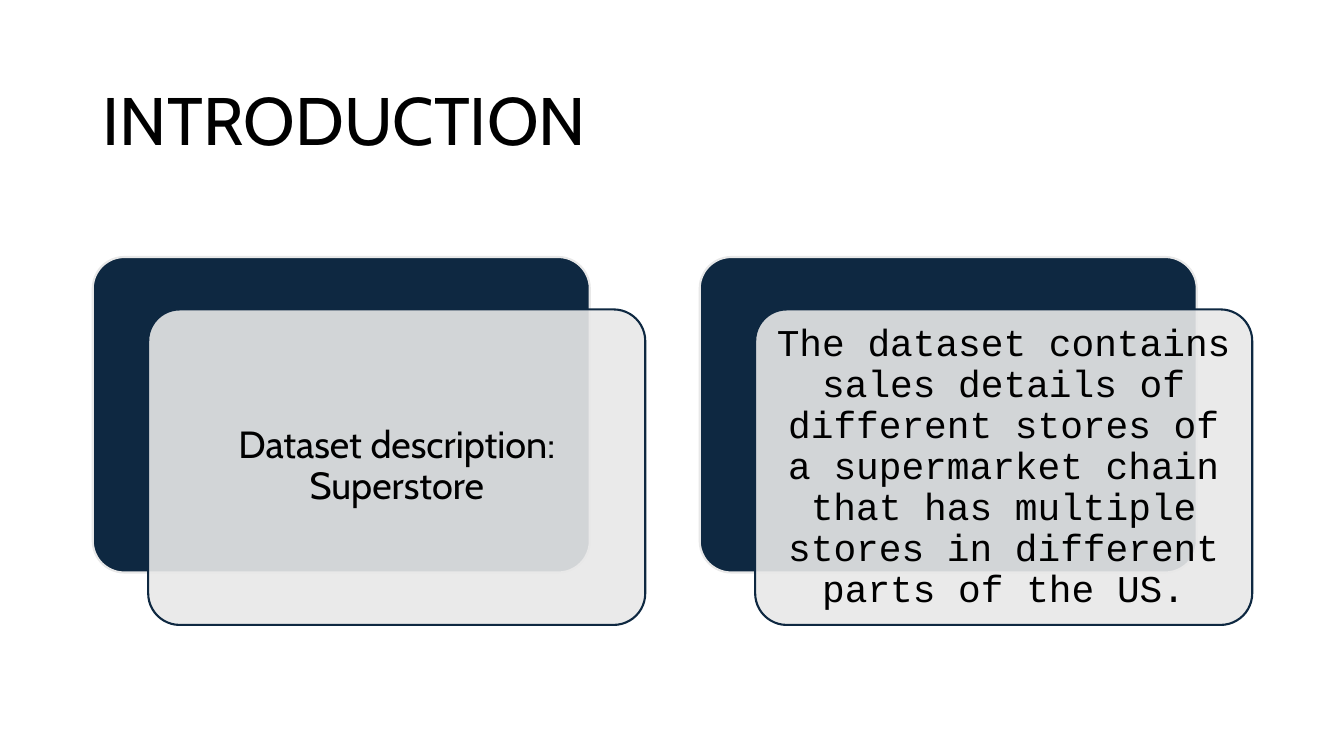
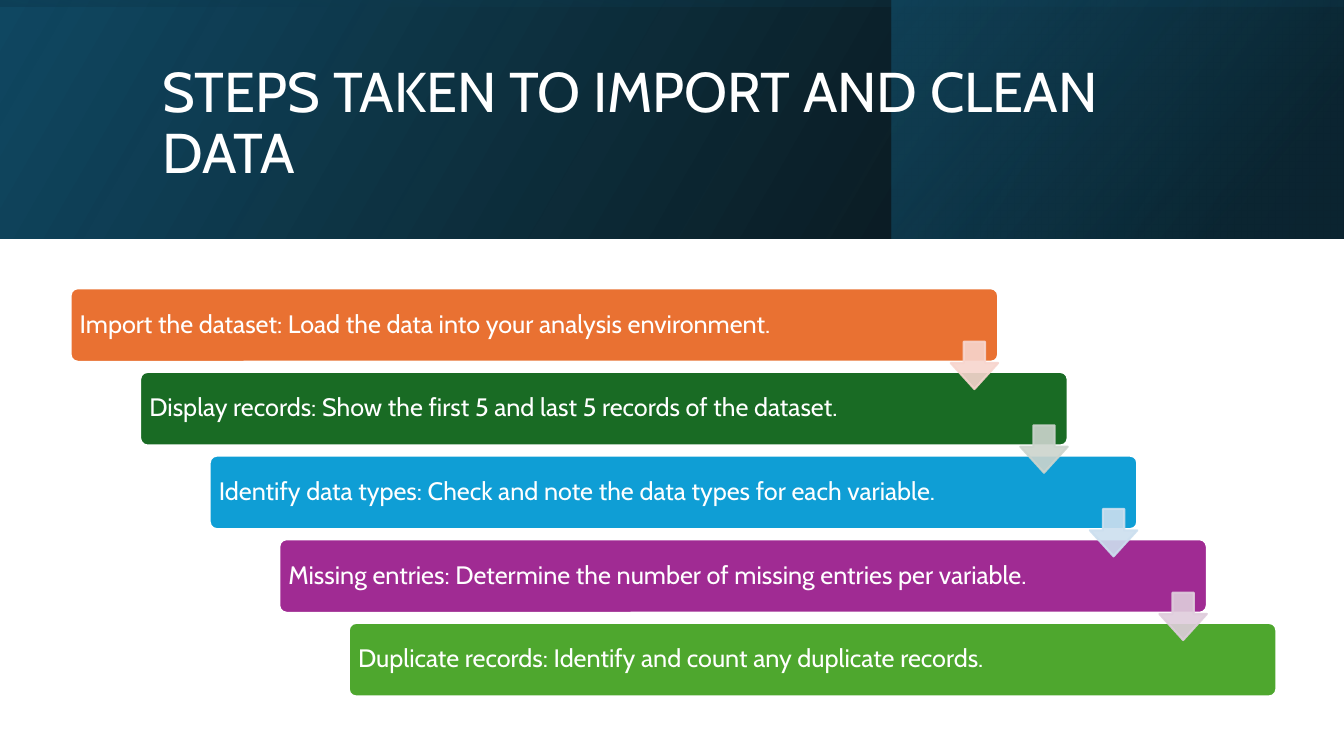
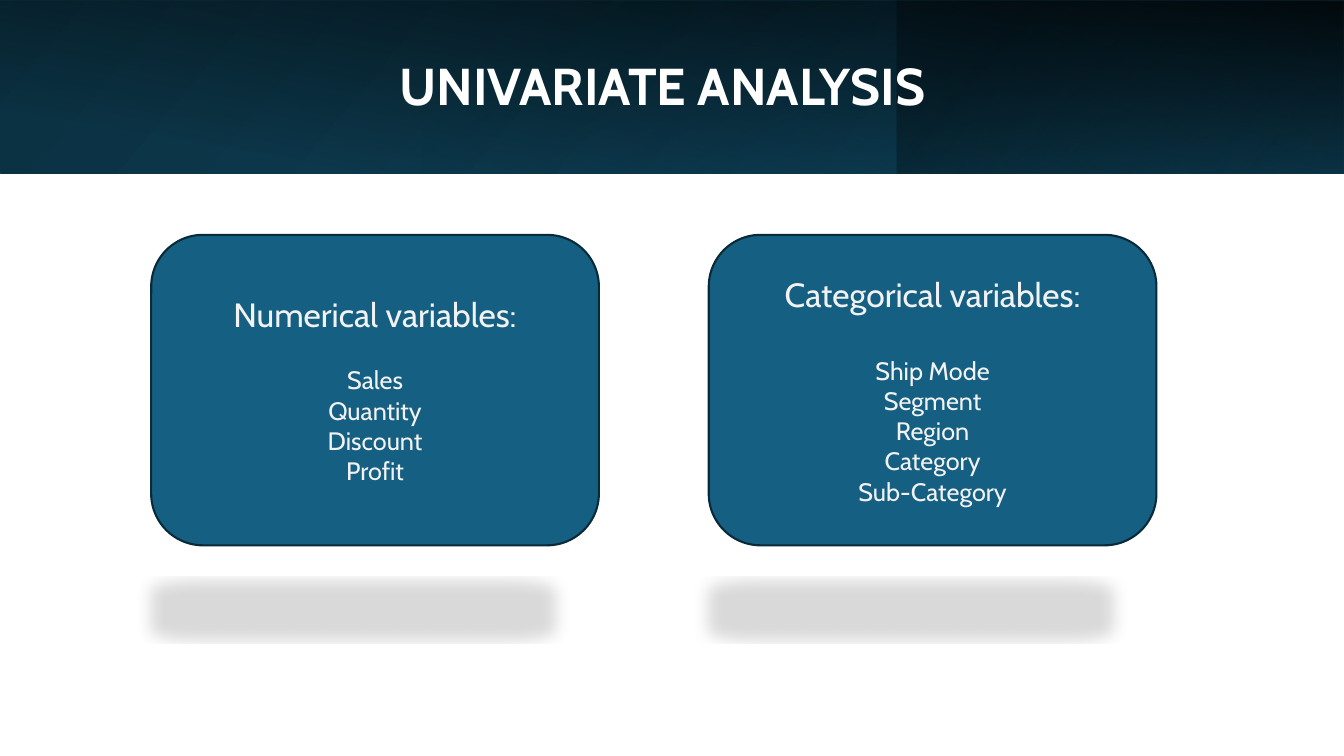
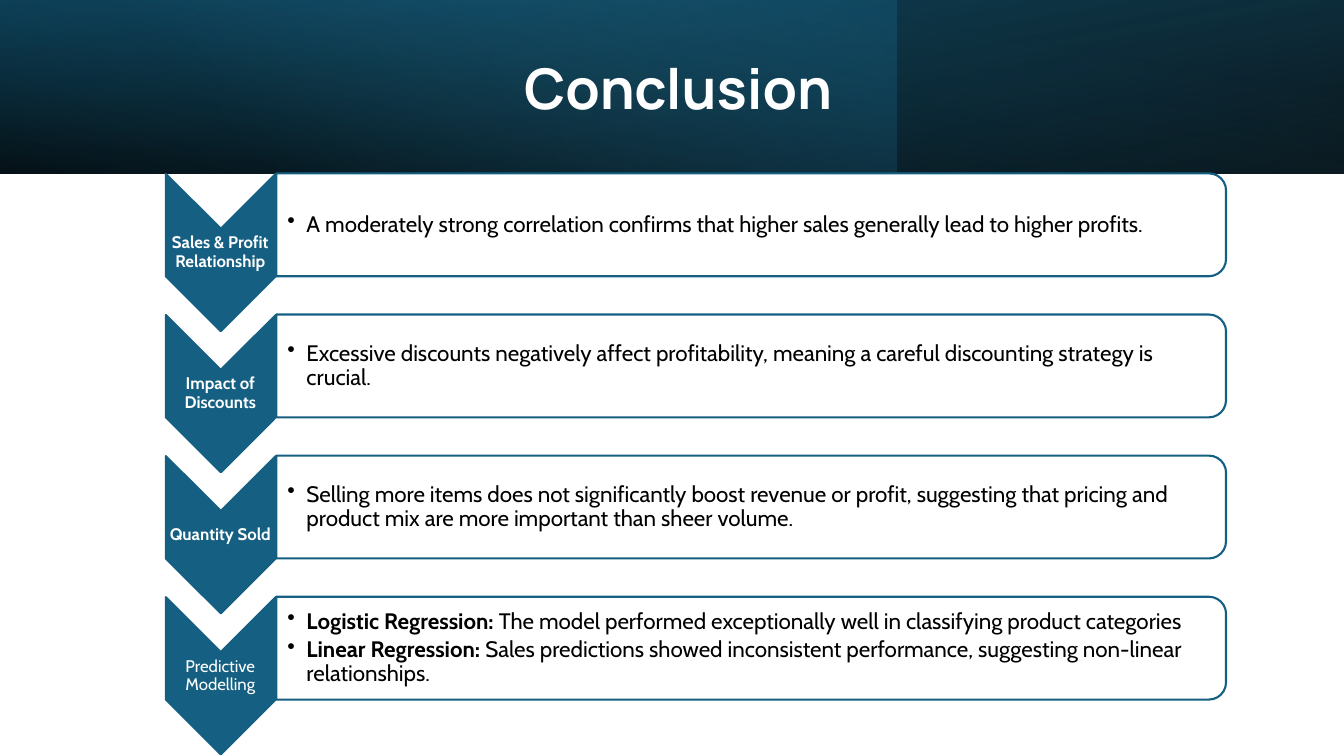
from lxml.etree import SubElement
from pptx import Presentation
from pptx.dml.color import RGBColor
from pptx.enum.shapes import MSO_SHAPE
from pptx.enum.text import MSO_ANCHOR, MSO_AUTO_SIZE, PP_ALIGN
from pptx.oxml.ns import qn
from pptx.util import Inches, Pt

# Shared colours and text formats
WHITE, BLACK, NAVY, GREY = "FFFFFF", "000000", "0E2841", "E8E8E8"
TEAL, DEEP, MID = "156082", "0B3041", "104862"
FONT = "Cabin"
WIDTH = 13.33


def rgb(value):
    return RGBColor.from_string(value)


# Fills, lines and effects
def add_xml(parent, tag, **attrs):
    return SubElement(parent, qn(tag), {k: str(v) for k, v in attrs.items()})


def set_alpha(fill, opacity):
    color = fill._xPr.find(qn("a:solidFill"))[0]
    add_xml(color, "a:alpha", val=opacity * 1000)


def add_gradient(sp, stops, angle):
    """Linear gradient; each stop is (position, colour, opacity)."""
    sp.fill.gradient()
    grad = sp._element.spPr.find(qn("a:gradFill"))
    for child in list(grad):
        grad.remove(child)
    stop_list = add_xml(grad, "a:gsLst")
    for position, color, opacity in stops:
        stop = add_xml(stop_list, "a:gs", pos=position * 1000)
        node = add_xml(stop, "a:srgbClr", val=color)
        add_xml(node, "a:alpha", val=opacity * 1000)
    add_xml(grad, "a:lin", ang=angle * 60000, scaled=0)


def add_reflected_shadow(sp):
    effects = sp._element.spPr.find(qn("a:effectLst"))
    shadow = add_xml(effects, "a:outerShdw", blurRad=Pt(12), dist=Pt(25),
                     dir=90 * 60000, sx=90000, sy=-19000, algn="bl",
                     rotWithShape=0)
    add_xml(add_xml(shadow, "a:srgbClr", val=BLACK), "a:alpha", val=15000)


# Shapes and text
def add_shape(slide, kind, at, fill=None, line=None, opacity=100,
              line_opacity=100, adj=(), rot=0):
    sp = slide.shapes.add_shape(kind, *map(Inches, at))
    sp.shadow.inherit = False
    sp.rotation = rot
    for i, value in enumerate(adj):
        sp.adjustments[i] = value
    if fill:
        sp.fill.solid()
        sp.fill.fore_color.rgb = rgb(fill)
        if opacity < 100:
            set_alpha(sp.fill, opacity)
    if line:
        sp.line.color.rgb = rgb(line)
        sp.line.width = Pt(1.5)
        if line_opacity < 100:
            set_alpha(sp.line.fill, line_opacity)
    else:
        sp.line.fill.background()
    return sp


def add_run(p, text, size, color, font=FONT, bold=False):
    r = p.add_run()
    r.text = text
    for name, value in {"name": font, "size": Pt(size), "bold": bold}.items():
        setattr(r.font, name, value)
    r.font.color.rgb = rgb(color)


def set_frame(tf, margins=(0.1, 0.05, 0.1, 0.05)):
    tf.word_wrap = True
    tf.auto_size = MSO_AUTO_SIZE.NONE
    tf.vertical_anchor = MSO_ANCHOR.MIDDLE
    for side, value in zip(("left", "top", "right", "bottom"), margins):
        setattr(tf, f"margin_{side}", Inches(value))


def write(tf, text, size, color, align=PP_ALIGN.LEFT, margin=0.1, **fmt):
    """One paragraph filling a frame with equal margins."""
    set_frame(tf, (margin,) * 4)
    p = tf.paragraphs[0]
    p.alignment = align
    p.line_spacing = 0.9
    add_run(p, text, size, color, **fmt)


def add_text_box(slide, at):
    return slide.shapes.add_textbox(*map(Inches, at)).text_frame


def add_bullets(tf, items):
    """Each item is (bold lead, text)."""
    set_frame(tf, (0.12, 0.01, 0.01, 0.01))
    for i, (lead, text) in enumerate(items):
        p = tf.add_paragraph() if i else tf.paragraphs[0]
        p.line_spacing = 0.9
        p.space_after = Pt(3)
        ppr = p._p.get_or_add_pPr()
        ppr.set("marL", str(Inches(0.19)))
        ppr.set("indent", str(-Inches(0.19)))
        add_xml(ppr, "a:buChar", char="•")
        if lead:
            add_run(p, lead, 16, BLACK, bold=True)
        add_run(p, text, 16, BLACK)


def add_slide(prs, title, at, bands=(), size=40, color=WHITE,
              align=PP_ALIGN.LEFT, **fmt):
    """Title Only slide; each band is (at, stops, angle, flipped, rotation)."""
    slide = prs.slides.add_slide(prs.slide_layouts[5])
    for band_at, stops, angle, flipped, rot in bands:
        band = add_shape(slide, MSO_SHAPE.RECTANGLE, band_at, rot=rot)
        add_gradient(band, stops, angle)
        if flipped:
            band._element.spPr.find(qn("a:xfrm")).set("flipH", "1")
    sp = slide.shapes.title
    slide.shapes._spTree.append(sp._element)  # title in front of the bands
    sp.left, sp.top, sp.width, sp.height = map(Inches, at)
    write(sp.text_frame, title, size, color, align, **fmt)
    return slide


# Slides
def introduction(prs):
    slide = add_slide(prs, "INTRODUCTION", (0.92, 0.61, 11.5, 1.24),
                      size=48, color=BLACK)
    cards = (
        ("Dataset description: Superstore", FONT),
        ("The dataset contains sales details of different stores of a "
         "supermarket chain that has multiple stores in different parts of "
         "the US.", "Courier New"),
    )
    for i, (text, font) in enumerate(cards):
        x = 0.92 + 6.02 * i
        add_shape(slide, MSO_SHAPE.ROUNDED_RECTANGLE, (x, 2.55, 4.93, 3.13),
                  NAVY, GREY, adj=[0.1])
        front = add_shape(slide, MSO_SHAPE.ROUNDED_RECTANGLE,
                          (x + 0.55, 3.07, 4.93, 3.13), GREY, NAVY,
                          opacity=90, adj=[0.1])
        write(front.text_frame, text, 27, BLACK, PP_ALIGN.CENTER, 0.11,
              font=font)


def cleaning_steps(prs):
    h = 2.37
    bands = (
        ((0, 0, WIDTH, h), [(0, BLACK, 96), (100, MID, 100)], 330, True, 0),
        ((8.84, 0, 4.48, h), [(19, DEEP, 68), (100, TEAL, 48)], 320, True, 0),
        ((5.48, -5.48, h, WIDTH), [(23, MID, 16), (99, BLACK, 45)],
         350, True, 270),
    )
    slide = add_slide(prs, "STEPS TAKEN TO IMPORT AND CLEAN DATA",
                      (1.51, 0.38, 10.63, 1.72), bands)
    steps = (
        ("Import the dataset: Load the data into your analysis environment.",
         "E97132", "F7D5CE"),
        ("Display records: Show the first 5 and last 5 records of the dataset.",
         "196B24", "CCD4CD"),
        ("Identify data types: Check and note the data types for each variable.",
         "0F9ED5", "CCDFEF"),
        ("Missing entries: Determine the number of missing entries per variable.",
         "A02B93", "DFCDDC"),
        ("Duplicate records: Identify and count any duplicate records.",
         "4EA72E", None),
    )
    dx, dy = 0.69, 0.83
    for i, (text, color, _) in enumerate(steps):
        bar = add_shape(slide, MSO_SHAPE.ROUNDED_RECTANGLE,
                        (0.7 + dx * i, 2.86 + dy * i, 9.2, 0.73),
                        color, WHITE, adj=[0.1])
        write(bar.text_frame, text, 18, WHITE, margin=0.07)
    for i, (_, _, tint) in enumerate(steps[:-1]):
        add_shape(slide, MSO_SHAPE.DOWN_ARROW,
                  (9.43 + dx * i, 3.39 + dy * i, 0.47, 0.47), tint, tint,
                  opacity=90, line_opacity=90, adj=[0.45, 0.55])


def univariate_analysis(prs):
    h = 1.72
    bands = (
        ((0, 0, WIDTH, h), [(0, DEEP, 100), (100, MID, 100)], 140, True, 0),
        ((8.89, 0, 4.44, h), [(19, DEEP, 68), (100, TEAL, 79)],
         320, True, 180),
        ((5.8, -5.8, h, WIDTH), [(16, BLACK, 0), (99, BLACK, 87)],
         190, False, 90),
        ((4.18, 0, 4.71, h), [(0, TEAL, 17), (74, DEEP, 0)], 240, False, 0),
    )
    slide = add_slide(prs, "UNIVARIATE ANALYSIS", (0.82, 0.39, 11.5, 0.98),
                      bands, size=37, align=PP_ALIGN.CENTER, bold=True)
    cards = (
        ("Numerical variables:", 21.5,
         ("Sales", "Quantity", "Discount", "Profit")),
        ("Categorical variables:", 29,
         ("Ship Mode", "Segment", "Region", "Category", "Sub-Category")),
    )
    for i, (heading, gap, names) in enumerate(cards):
        card = add_shape(slide, MSO_SHAPE.ROUNDED_RECTANGLE,
                         (1.5 + 5.53 * i, 2.33, 4.44, 3.08), TEAL, "092A39")
        add_reflected_shadow(card)
        tf = card.text_frame
        set_frame(tf)
        add_run(tf.paragraphs[0], heading, 24, "F2F2F2")
        for name in names:
            add_run(tf.add_paragraph(), name, 18, "F2F2F2")
        tf.paragraphs[1].space_before = Pt(gap)
        for p in tf.paragraphs:
            p.alignment = PP_ALIGN.CENTER


def conclusion(prs):
    h = 1.72
    bands = (
        ((0, 0, WIDTH, h), [(0, BLACK, 96), (100, MID, 100)], 100, True, 180),
        ((0, 0, 8.89, h), [(0, TEAL, 41), (74, "46B1E1", 0)], 140, False, 0),
        ((0, 0, WIDTH, h), [(0, BLACK, 63), (78, TEAL, 15)], 260, True, 0),
    )
    slide = add_slide(prs, "Conclusion", (0.29, 0.27, 12.87, 1.27), bands,
                      align=PP_ALIGN.CENTER, font="Manrope", bold=True)
    findings = (
        ("Sales & Profit Relationship", True,
         [("", "A moderately strong correlation confirms that higher sales "
               "generally lead to higher profits.")]),
        ("Impact of Discounts", True,
         [("", "Excessive discounts negatively affect profitability, meaning "
               "a careful discounting strategy is crucial.")]),
        ("Quantity Sold", True,
         [("", "Selling more items does not significantly boost revenue or "
               "profit, suggesting that pricing and product mix are more "
               "important than sheer volume.")]),
        ("Predictive Modelling", False,
         [("Logistic Regression:", " The model performed exceptionally well "
                                   "in classifying product categories"),
          ("Linear Regression:", " Sales predictions showed inconsistent "
                                 "performance, suggesting non-linear "
                                 "relationships.")]),
    )
    for i, (label, bold, items) in enumerate(findings):
        dy = 1.4 * i
        add_shape(slide, MSO_SHAPE.CHEVRON, (1.41, 1.96 + dy, 1.56, 1.09),
                  TEAL, TEAL, rot=90)
        write(add_text_box(slide, (1.64, 2.27 + dy, 1.09, 0.47)), label, 12,
              WHITE, PP_ALIGN.CENTER, 0.01, bold=bold)
        add_shape(slide, MSO_SHAPE.ROUND_2_SAME_RECTANGLE,
                  (6.94, -2.48 + dy, 1.02, 9.42), WHITE, TEAL,
                  opacity=90, rot=90)
        add_bullets(add_text_box(slide, (2.73, 1.77 + dy, 9.37, 0.92)), items)


def main():
    prs = Presentation()
    prs.slide_width, prs.slide_height = Inches(WIDTH), Inches(7.5)
    introduction(prs)
    cleaning_steps(prs)
    univariate_analysis(prs)
    conclusion(prs)
    prs.save("out.pptx")


if __name__ == "__main__":
    main()
